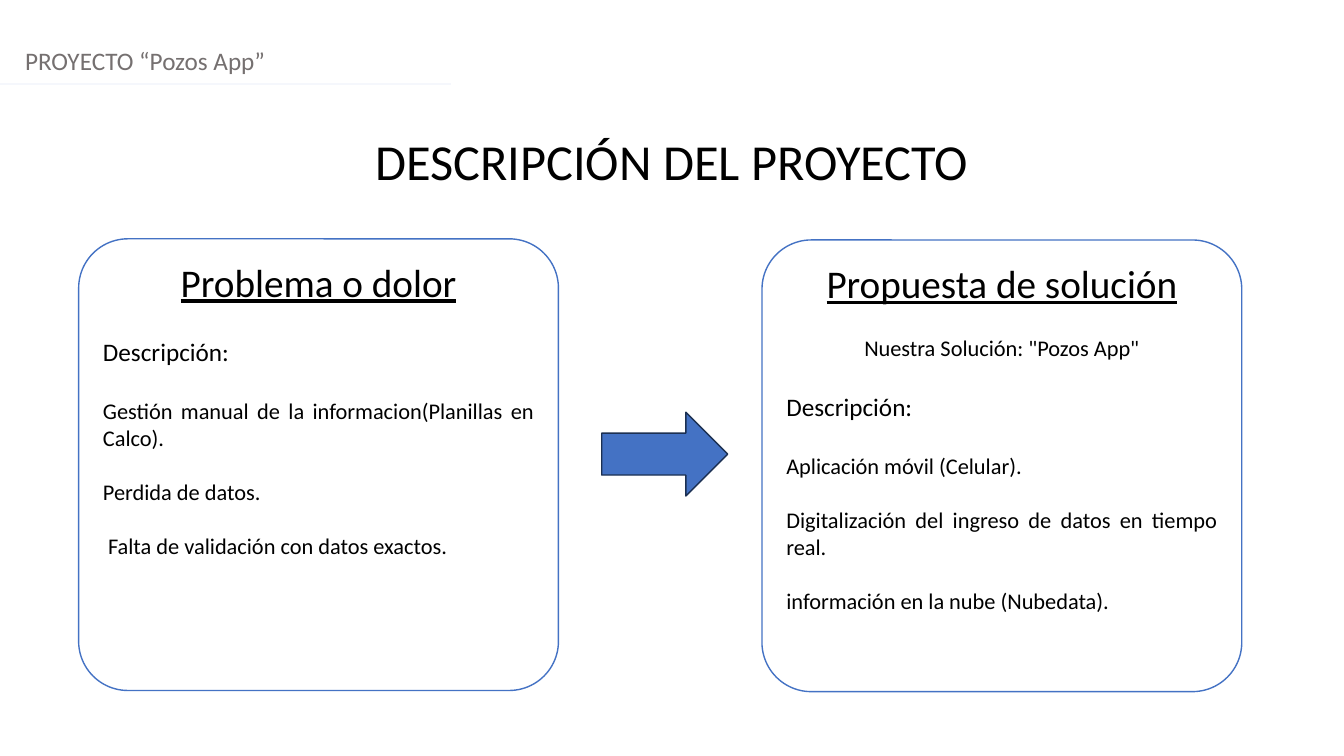
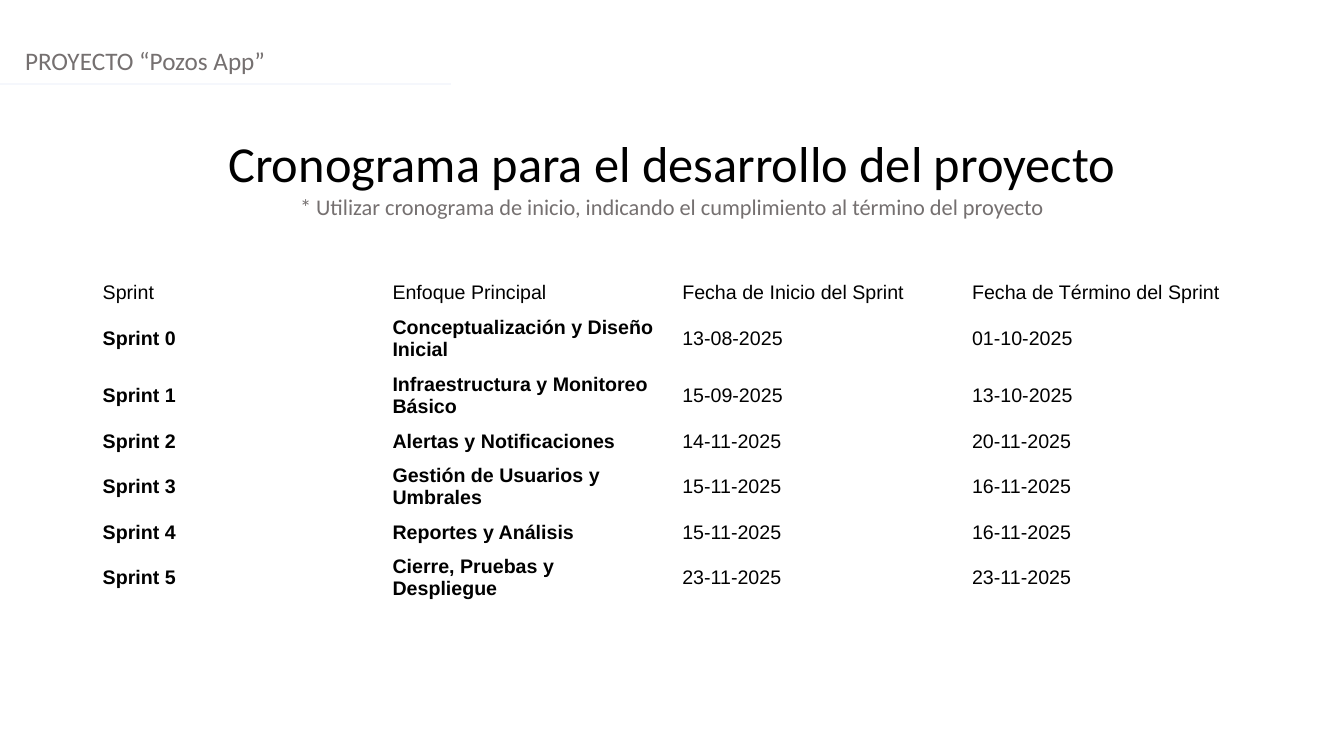
from lxml import etree
from pptx import Presentation
from pptx.dml.color import RGBColor
from pptx.enum.shapes import MSO_CONNECTOR, MSO_SHAPE
from pptx.enum.text import MSO_ANCHOR, MSO_AUTO_SIZE, PP_ALIGN
from pptx.oxml.ns import qn
from pptx.util import Pt

STRAIGHT = MSO_CONNECTOR.STRAIGHT
ROUNDED, RIGHT_ARROW = MSO_SHAPE.ROUNDED_RECTANGLE, MSO_SHAPE.RIGHT_ARROW
TOP, MIDDLE = MSO_ANCHOR.TOP, MSO_ANCHOR.MIDDLE
NO_AUTOFIT = MSO_AUTO_SIZE.NONE
LEFT, CENTER, JUSTIFY = PP_ALIGN.LEFT, PP_ALIGN.CENTER, PP_ALIGN.JUSTIFY

color = RGBColor.from_string
BLACK, GRAY, WHITE = "000000", "757070", "FFFFFF"
BLUE, DARK_BLUE, PALE_BLUE = "4472C4", "1C3052", "F5F7FC"
SLIDE_WIDTH, SLIDE_HEIGHT = 960, 540
GAP_SMALL, GAP_LARGE = 19.5, 22


def add_run(paragraph, text, size, hex_color=BLACK, font="Calibri", bold=False, underline=False):
    run = paragraph.add_run()
    run.text = text
    run.font.name = font
    run.font.size = Pt(size)
    run.font.bold = bold
    run.font.underline = underline
    run.font.color.rgb = color(hex_color)


def add_text_box(slide, left, top, width, height, text, size, hex_color, alignment):
    frame = slide.shapes.add_textbox(Pt(left), Pt(top), Pt(width), Pt(height)).text_frame
    frame.word_wrap = True
    frame.paragraphs[0].alignment = alignment
    add_run(frame.paragraphs[0], text, size, hex_color)


presentation = Presentation()
presentation.slide_width = Pt(SLIDE_WIDTH)
presentation.slide_height = Pt(SLIDE_HEIGHT)
title_only = presentation.slide_layouts[5]

# Header, rule and title of every slide
slides = []
for title_text, title_top in (
    ("DESCRIPCIÓN DEL PROYECTO", 89.3),
    ("Cronograma para el desarrollo del proyecto", 90.7),
):
    slide = presentation.slides.add_slide(title_only)
    slides.append(slide)
    title = slide.shapes.title
    title.left, title.top = Pt(0), Pt(title_top)
    title.width, title.height = Pt(SLIDE_WIDTH), Pt(51)
    frame = title.text_frame
    frame.auto_size = NO_AUTOFIT
    frame.vertical_anchor = TOP
    frame.paragraphs[0].alignment = CENTER
    add_run(frame.paragraphs[0], title_text, 36)

    add_text_box(slide, 10.8, 28.8, 949, 29, "PROYECTO “Pozos App”", 18, GRAY, LEFT)

    rule = slide.shapes.add_connector(STRAIGHT, Pt(0), Pt(59.8), Pt(322), Pt(59.8))
    rule.line.color.rgb = color(PALE_BLUE)
    rule.line.width = Pt(1.25)
    etree.SubElement(rule.element.spPr, qn("a:effectLst"))

project_slide, schedule_slide = slides

# Problem and solution cards: text, size, alignment, space before
cards = (
    (56.2, 170.6, (
        ("Problema o dolor", 28, CENTER, 0),
        ("Descripción:", 18, JUSTIFY, GAP_LARGE),
        ("Gestión manual de la informacion(Planillas en Calco).", 16, JUSTIFY, GAP_LARGE),
        ("Perdida de datos.", 16, JUSTIFY, GAP_SMALL),
        (" Falta de validación con datos exactos.", 16, JUSTIFY, GAP_SMALL),
    )),
    (544.3, 171.4, (
        ("Propuesta de solución", 28, CENTER, 0),
        ('Nuestra Solución: "Pozos App"', 16, CENTER, GAP_SMALL),
        ("Descripción:", 18, JUSTIFY, GAP_LARGE),
        ("Aplicación móvil (Celular).", 16, JUSTIFY, GAP_LARGE),
        ("Digitalización del ingreso de datos en tiempo real.", 16, JUSTIFY, GAP_SMALL),
        ("información en la nube (Nubedata).", 16, JUSTIFY, GAP_SMALL),
    )),
)
for left, top, lines in cards:
    card = project_slide.shapes.add_shape(ROUNDED, Pt(left), Pt(top), Pt(342.7), Pt(322.6))
    card.adjustments[0] = 0.109
    card.shadow.inherit = False
    card.fill.solid()
    card.fill.fore_color.rgb = color(WHITE)
    card.line.color.rgb = color(BLUE)
    card.line.width = Pt(1)
    frame = card.text_frame
    frame.word_wrap = True
    frame.vertical_anchor = TOP
    for index, (text, size, alignment, gap) in enumerate(lines):
        paragraph = frame.add_paragraph() if index else frame.paragraphs[0]
        paragraph.alignment = alignment
        paragraph.space_before = Pt(gap)
        add_run(paragraph, text, size, underline=index == 0)

arrow = project_slide.shapes.add_shape(RIGHT_ARROW, Pt(429.8), Pt(294.5), Pt(90), Pt(59.8))
arrow.shadow.inherit = False
arrow.fill.solid()
arrow.fill.fore_color.rgb = color(BLUE)
arrow.line.color.rgb = color(DARK_BLUE)
arrow.line.width = Pt(1)

# Sprint schedule
add_text_box(
    schedule_slide, 0, 134.6, SLIDE_WIDTH, 27,
    "* Utilizar cronograma de inicio, indicando el cumplimiento al término del proyecto",
    16, GRAY, CENTER,
)

ONE_LINE, TWO_LINES = 24.2, 40.8
schedule = (
    (ONE_LINE, "Sprint", "Enfoque Principal", "Fecha de Inicio del Sprint", "Fecha de Término del Sprint"),
    (TWO_LINES, "Sprint 0", "Conceptualización y Diseño Inicial", "13-08-2025", "01-10-2025"),
    (TWO_LINES, "Sprint 1", "Infraestructura y Monitoreo Básico", "15-09-2025", "13-10-2025"),
    (ONE_LINE, "Sprint 2", "Alertas y Notificaciones", "14-11-2025", "20-11-2025"),
    (TWO_LINES, "Sprint 3", "Gestión de Usuarios y Umbrales", "15-11-2025", "16-11-2025"),
    (ONE_LINE, "Sprint 4", "Reportes y Análisis", "15-11-2025", "16-11-2025"),
    (TWO_LINES, "Sprint 5", "Cierre, Pruebas y Despliegue", "23-11-2025", "23-11-2025"),
)
table_height = sum(row[0] for row in schedule)
table = schedule_slide.shapes.add_table(
    len(schedule), 4, Pt(66.2), Pt(197.3), Pt(828), Pt(table_height)
).table
table.first_row = False
table.horz_banding = False
for row_index, (row_height, *texts) in enumerate(schedule):
    table.rows[row_index].height = Pt(row_height)
    for column_index, text in enumerate(texts):
        cell = table.cell(row_index, column_index)
        cell.fill.background()
        cell.vertical_anchor = MIDDLE
        bold = row_index > 0 and column_index < 2
        add_run(cell.text_frame.paragraphs[0], text, 14, font="Arial", bold=bold)

presentation.save("out.pptx")
